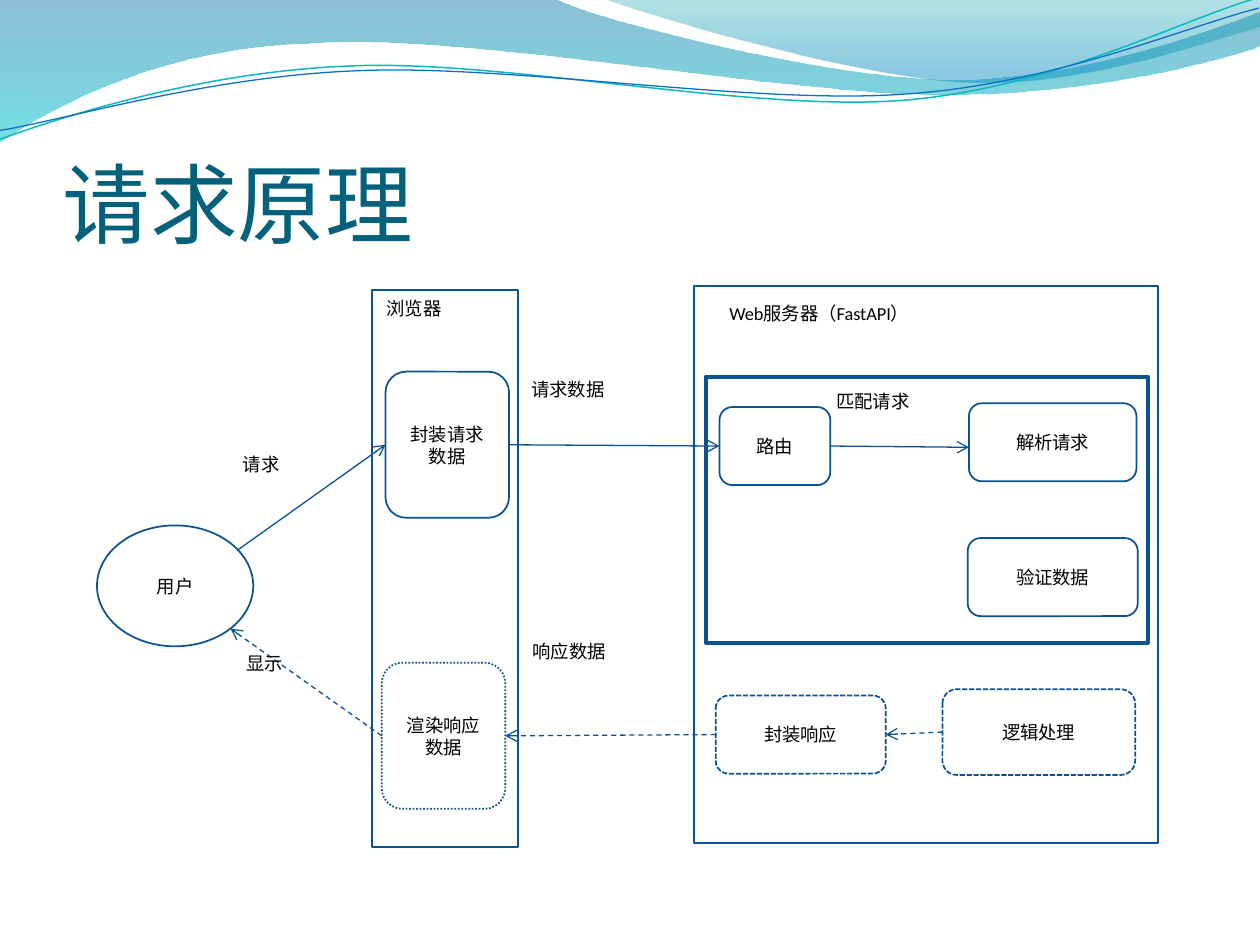
from lxml import etree
from pptx import Presentation
from pptx.dml.color import RGBColor
from pptx.enum.dml import MSO_LINE
from pptx.enum.shapes import MSO_CONNECTOR, MSO_SHAPE
from pptx.enum.text import MSO_ANCHOR, PP_ALIGN
from pptx.oxml.ns import qn
from pptx.util import Inches, Pt

BLACK = RGBColor(0x00, 0x00, 0x00)
TITLE = RGBColor(0x04, 0x61, 0x7B)
OUTLINE = RGBColor(0x0B, 0x52, 0x92)
ARROW = RGBColor(0x09, 0x52, 0x95)
TEAL_LINE = RGBColor(0x0A, 0xB8, 0xBF)
BLUE_LINE = RGBColor(0x0F, 0x6F, 0xC6)
DEEP_BLUE = RGBColor(0x00, 0x74, 0xA1)
CYAN = RGBColor(0x00, 0xC6, 0xCF)
TEAL = RGBColor(0x00, 0xA1, 0xA9)
SKY = RGBColor(0x00, 0x8B, 0xBF)

RECT = MSO_SHAPE.RECTANGLE
OVAL = MSO_SHAPE.OVAL
ROUNDED = MSO_SHAPE.FLOWCHART_ALTERNATE_PROCESS
STRAIGHT = MSO_CONNECTOR.STRAIGHT
DASH = MSO_LINE.DASH
SHORT_DASH = MSO_LINE.SQUARE_DOT  # sysDash
DOTS = MSO_LINE.ROUND_DOT  # sysDot
LEFT, RIGHT = 1, 3  # connection sites

prs = Presentation()
prs.slide_width, prs.slide_height = Inches(10), Inches(7.5)
shapes = prs.slides.add_slide(prs.slide_layouts[6]).shapes


def add_curve(segments, closed):
    """Draw a freeform; a segment is a point (2 numbers) or a Bezier curve (6)."""
    points = [(Inches(seg[i]), Inches(seg[i + 1]))
              for seg in segments for i in range(0, len(seg), 2)]
    builder = shapes.build_freeform(*points[0])
    builder.add_line_segments(points[1:], close=closed)
    s = builder.convert_to_shape()
    s.shadow.inherit = False
    # Merge the three points of each curve into one cubic segment
    nodes = iter(list(s._element.iter(qn("a:lnTo"))))
    for seg in segments[1:]:
        first = next(nodes)
        if len(seg) == 6:
            curve = etree.Element(qn("a:cubicBezTo"))
            first.addprevious(curve)
            for node in (first, next(nodes), next(nodes)):
                curve.append(node[0])
                node.getparent().remove(node)
    return s


def set_text(s, text, size, color, align, anchor):
    tf = s.text_frame
    tf.word_wrap = True
    tf.vertical_anchor = anchor
    p = tf.paragraphs[0]
    p.alignment = align
    r = p.add_run()
    r.text = text
    r.font.name, r.font.size, r.font.color.rgb = "Calibri", Pt(size), color


# Waves across the top: outline, then (position, colour, opacity %) for each stop
waves = [
    ([(0, 0), (4.4, -0.01), (4.76, 0.17, 6.64, 0.63, 7.58, 0.63),
      (8.53, 0.63, 9.58, 0.26, 10, 0.09), (10.01, 0.36),
      (9.83, 0.44, 8.7, 0.76, 7.46, 0.75), (6.22, 0.75, 3.82, 0.28, 2.57, 0.34),
      (1.29, 0.36, 0.46, 0.83, -0.01, 1.13), (0, 0)],
     [(0, DEEP_BLUE, 45), (1, CYAN, 55)]),
    ([(4.79, -0.01), (5.09, 0.11, 6.82, 0.62, 7.69, 0.65),
      (8.56, 0.69, 9.61, 0.32, 10, 0.21), (10, 0), (4.79, -0.01)],
     [(0, TEAL, 30), (0.8, SKY, 45)]),
]
for outline, stops in waves:
    s = add_curve(outline, True)
    s.line.fill.background()
    s.fill.gradient()
    s.fill.gradient_angle = 270
    for stop, (position, color, _) in zip(s.fill.gradient_stops, stops):
        stop.position, stop.color.rgb = position, color
    for clr, (_, _, opacity) in zip(s._element.spPr.iter(qn("a:srgbClr")), stops):
        etree.SubElement(clr, qn("a:alpha"), val=str(opacity * 1000))

wave_lines = [
    ([(-0.02, 0.87), (0.47, 0.72, 1.58, 0.41, 2.78, 0.42), (3.96, 0.42, 5.91, 0.93, 7.12, 0.9),
      (8.32, 0.87, 9.4, 0.36, 10, 0.22)], TEAL_LINE, 0.85),
    ([(-0.02, 0.8), (0.46, 0.75, 1.64, 0.45, 2.83, 0.46), (4.03, 0.46, 5.96, 0.88, 7.16, 0.85),
      (8.35, 0.83, 9.42, 0.42, 10.01, 0.3)], BLUE_LINE, 0.75),
]
for outline, color, width in wave_lines:
    s = add_curve(outline, False)
    s.rotation = 357.3
    s.fill.background()
    s.line.color.rgb, s.line.width = color, Pt(width)

title = shapes.add_textbox(Inches(0.5), Inches(0.77), Inches(9), Inches(1.25))
margins = {"margin_left": 0, "margin_right": 0, "margin_top": Inches(0.05), "margin_bottom": 0}
for name, value in margins.items():
    setattr(title.text_frame, name, value)
set_text(title, "请求原理", 50, TITLE, PP_ALIGN.LEFT, MSO_ANCHOR.BOTTOM)

# Frames and steps: kind, left, top, width, height, line width, dash, text
boxes = [
    (OVAL, 0.77, 4.17, 1.24, 0.96, 1, None, "用户"),
    (RECT, 2.95, 2.3, 1.16, 4.42, 1, None, ""),
    (RECT, 5.51, 2.27, 3.68, 4.42, 1, None, ""),
    (ROUNDED, 3.03, 5.26, 0.98, 1.16, 1, DOTS, "渲染响应数据"),
    (ROUNDED, 5.71, 3.23, 0.88, 0.62, 1, None, "路由"),
    (ROUNDED, 7.69, 3.2, 1.33, 0.62, 1, None, "解析请求"),
    (ROUNDED, 7.48, 5.47, 1.53, 0.68, 1, SHORT_DASH, "逻辑处理"),
    (ROUNDED, 7.68, 4.27, 1.35, 0.62, 1, None, "验证数据"),
    (ROUNDED, 5.68, 5.52, 1.35, 0.62, 1, SHORT_DASH, "封装响应"),
    (RECT, 5.6, 2.99, 3.51, 2.11, 2.25, None, ""),
    (ROUNDED, 3.06, 2.95, 0.98, 1.16, 1, None, "封装请求数据"),
]
steps = {}
for kind, x, y, w, h, width, dash, text in boxes:
    s = shapes.add_shape(kind, Inches(x), Inches(y), Inches(w), Inches(h))
    s.shadow.inherit = False
    s.fill.background()
    s.line.color.rgb, s.line.width = OUTLINE, Pt(width)
    if dash:
        s.line.dash_style = dash
    if text:
        set_text(s, text, 10.5, BLACK, PP_ALIGN.CENTER, MSO_ANCHOR.MIDDLE)
        steps[text] = s

# Arrows: an end is a (step, side) pair or a free point
arrows = [
    ((1.88, 4.37), ("封装请求数据", LEFT), None),
    (("封装请求数据", RIGHT), ("路由", LEFT), None),
    (("路由", RIGHT), (7.69, 3.55), None),
    (("逻辑处理", LEFT), ("封装响应", RIGHT), DASH),
    (("封装响应", LEFT), ("渲染响应数据", RIGHT), DASH),
    (("渲染响应数据", LEFT), (1.83, 4.99), DASH),
]
for start, end, dash in arrows:
    ends = [(0, 0) if e[0] in steps else (Inches(e[0]), Inches(e[1])) for e in (start, end)]
    line = shapes.add_connector(STRAIGHT, *ends[0], *ends[1])
    for (step, side), connect in ((start, line.begin_connect), (end, line.end_connect)):
        if step in steps:
            connect(steps[step], side)
    line.line.color.rgb, line.line.width = ARROW, Pt(0.75)
    if dash:
        line.line.dash_style = dash
    etree.SubElement(line.line._get_or_add_ln(), qn("a:tailEnd"), type="arrow")
    etree.SubElement(line._element.spPr, qn("a:effectLst"))

labels = [
    (2.97, 2.31, 1.03, "浏览器"),
    (5.69, 2.35, 3.24, "Web服务器（FastAPI）"),
    (1.83, 3.55, 0.83, "请求"),
    (4.12, 2.95, 1.34, "请求数据"),
    (6.54, 3.05, 1.23, "匹配请求"),
    (4.13, 5.03, 1.21, "响应数据"),
    (1.86, 5.13, 0.83, "显示"),
]
for x, y, w, text in labels:
    s = shapes.add_textbox(Inches(x), Inches(y), Inches(w), Inches(0.48))
    set_text(s, text, 10.5, BLACK, PP_ALIGN.JUSTIFY, MSO_ANCHOR.TOP)

prs.save("out.pptx")
